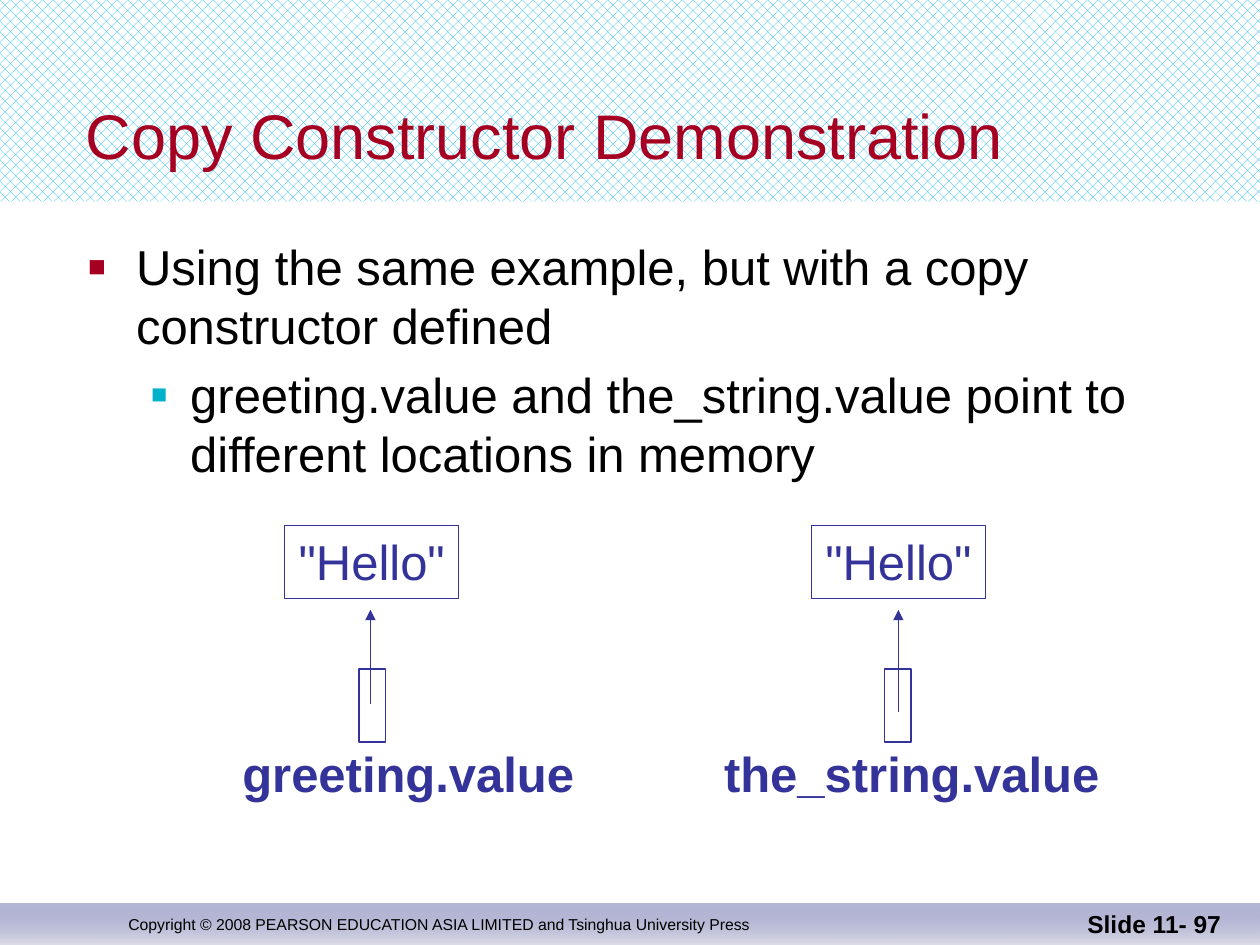
from lxml import etree
from pptx import Presentation
from pptx.dml.color import RGBColor
from pptx.enum.dml import MSO_PATTERN
from pptx.enum.shapes import MSO_CONNECTOR, MSO_SHAPE
from pptx.enum.text import MSO_ANCHOR, PP_ALIGN
from pptx.oxml.ns import qn
from pptx.util import Inches, Pt

RECT = MSO_SHAPE.RECTANGLE
STRAIGHT = MSO_CONNECTOR.STRAIGHT
LEFT, CENTER, RIGHT = PP_ALIGN.LEFT, PP_ALIGN.CENTER, PP_ALIGN.RIGHT
TOP, MIDDLE, BOTTOM = MSO_ANCHOR.TOP, MSO_ANCHOR.MIDDLE, MSO_ANCHOR.BOTTOM
PATTERN_40 = MSO_PATTERN.from_xml("pct40")

COLORS = {
    "title": "A50021", "text": "000000", "diagram": "333399",
    "band": "00B6F6", "paper": "FFFFFF",
    "footer_top": "6669AA", "footer_bottom": "DBDCE7",
    "bullet_1": "A50021", "bullet_2": "02B2CA",
}

TITLE = "Copy Constructor Demonstration"
# text, level, margin, hanging indent, bullet colour, bullet size in percent
POINTS = [
    ("Using the same example, but with a copy\vconstructor defined",
     0, 0.38, 0.38, "bullet_1", 60),
    ("greeting.value and the_string.value point to\vdifferent locations in memory",
     1, 0.81, 0.31, "bullet_2", 55),
]
# label, label left and width, pointer left, value left, arrow x, arrow start
VARIABLES = [
    ("greeting.value", 1.82, 2.84, 2.85, 2.26, 2.94, 5.59),
    ("the_string.value", 5.64, 3.19, 7.02, 6.44, 7.13, 5.65),
]
VALUE = '"Hello"'
COPYRIGHT = ("Copyright © 2008 PEARSON EDUCATION ASIA LIMITED "
             "and Tsinghua University Press")
SLIDE_NUMBER = "Slide 11- 97"


def rgb(key):
    return RGBColor.from_string(COLORS[key])


def inches(*lengths):
    return [Inches(length) for length in lengths]


def format_runs(paragraph, size, color, bold=False, align=LEFT):
    paragraph.alignment = align
    for run in paragraph.runs:
        run.font.name = "Arial"
        run.font.size = Pt(size)
        run.font.bold = bold
        run.font.color.rgb = rgb(color)


def write(shape, text, size, color, bold=False, align=LEFT, anchor=TOP, wrap=True):
    frame = shape.text_frame
    frame.text = text
    frame.word_wrap = wrap
    frame.vertical_anchor = anchor
    format_runs(frame.paragraphs[0], size, color, bold, align)


def add_band(slide, top, height):
    band = slide.shapes.add_shape(RECT, *inches(0, top, 10, height))
    band.shadow.inherit = False
    band.line.fill.background()
    slide.shapes._spTree.insert(2, band._element)  # behind the placeholders
    return band


def add_box(slide, left, top, width, height):
    box = slide.shapes.add_shape(RECT, *inches(left, top, width, height))
    box.shadow.inherit = False
    box.fill.background()
    box.line.color.rgb = rgb("diagram")
    box.line.width = Pt(0.75)
    return box


def add_arrow(slide, x, start, end):
    arrow = slide.shapes.add_connector(STRAIGHT, *inches(x, start, x, end))
    arrow.line.color.rgb = rgb("diagram")
    arrow.line.width = Pt(0.75)
    etree.SubElement(arrow.line._get_or_add_ln(), qn("a:tailEnd"), type="triangle")
    etree.SubElement(arrow._element.spPr, qn("a:effectLst"))


def add_bullet(paragraph, margin, hanging, color, percent):
    props = paragraph._p.get_or_add_pPr()
    props.set("marL", str(Inches(margin)))
    props.set("indent", str(-Inches(hanging)))
    bullet_color = etree.SubElement(props, qn("a:buClr"))
    etree.SubElement(bullet_color, qn("a:srgbClr"), val=COLORS[color])
    etree.SubElement(props, qn("a:buSzPct"), val=str(percent * 1000))
    etree.SubElement(props, qn("a:buFont"), typeface="Arial")
    etree.SubElement(props, qn("a:buChar"), char="■")


def place(shape, *box):
    shape.left, shape.top, shape.width, shape.height = inches(*box)


def main():
    prs = Presentation()
    prs.slide_width, prs.slide_height = inches(10, 7.5)
    slide = prs.slides.add_slide(prs.slide_layouts[1])
    title, body = slide.placeholders

    # Patterned band behind the title
    header = add_band(slide, 0, 1.6)
    header.fill.patterned()
    header.fill.pattern = PATTERN_40
    header.fill.fore_color.rgb = rgb("band")
    header.fill.back_color.rgb = rgb("paper")

    # Footer band fading downwards
    footer = add_band(slide, 7.17, 0.33)
    footer.fill.gradient()
    footer.fill.gradient_angle = 270
    for stop, key in zip(footer.fill.gradient_stops, ("footer_top", "footer_bottom")):
        stop.color.rgb = rgb(key)
    first_color = next(footer._element.spPr.iter(qn("a:srgbClr")))
    etree.SubElement(first_color, qn("a:alpha"), val="47000")

    # Title and bullet list
    place(title, 0.58, 0.33, 9.08, 1.09)
    write(title, TITLE, 36, "title", anchor=BOTTOM)
    place(body, 0.6, 1.83, 9.07, 5)
    frame = body.text_frame
    frame.margin_right = 0
    for i, (text, level, *bullet) in enumerate(POINTS):
        point = frame.add_paragraph() if i else frame.paragraphs[0]
        point.text = text
        point.level = level
        point.space_before = Pt(5.6 if i else 0)
        add_bullet(point, *bullet)
        format_runs(point, 28, "text")

    # Each variable: label, pointer box, arrow and the value it points to
    for label, label_left, label_width, pointer_left, value_left, x, start in VARIABLES:
        name = slide.shapes.add_textbox(*inches(label_left, 5.85, label_width, 0.57))
        write(name, label, 28, "diagram", bold=True, align=CENTER, wrap=False)
        add_box(slide, pointer_left, 5.31, 0.21, 0.58)
        value = add_box(slide, value_left, 4.17, 1.38, 0.58)
        write(value, VALUE, 28, "diagram", align=CENTER, wrap=False)
        add_arrow(slide, x, start, 4.84)

    # Footer texts
    credit = slide.shapes.add_textbox(*inches(0.92, 7.17, 5.5, 0.33))
    write(credit, COPYRIGHT, 9, "text", anchor=MIDDLE)
    number = slide.shapes.add_textbox(*inches(7.71, 7, 2.08, 0.5))
    write(number, SLIDE_NUMBER, 14, "text", bold=True, align=RIGHT, anchor=BOTTOM)

    prs.save("out.pptx")


if __name__ == "__main__":
    main()
